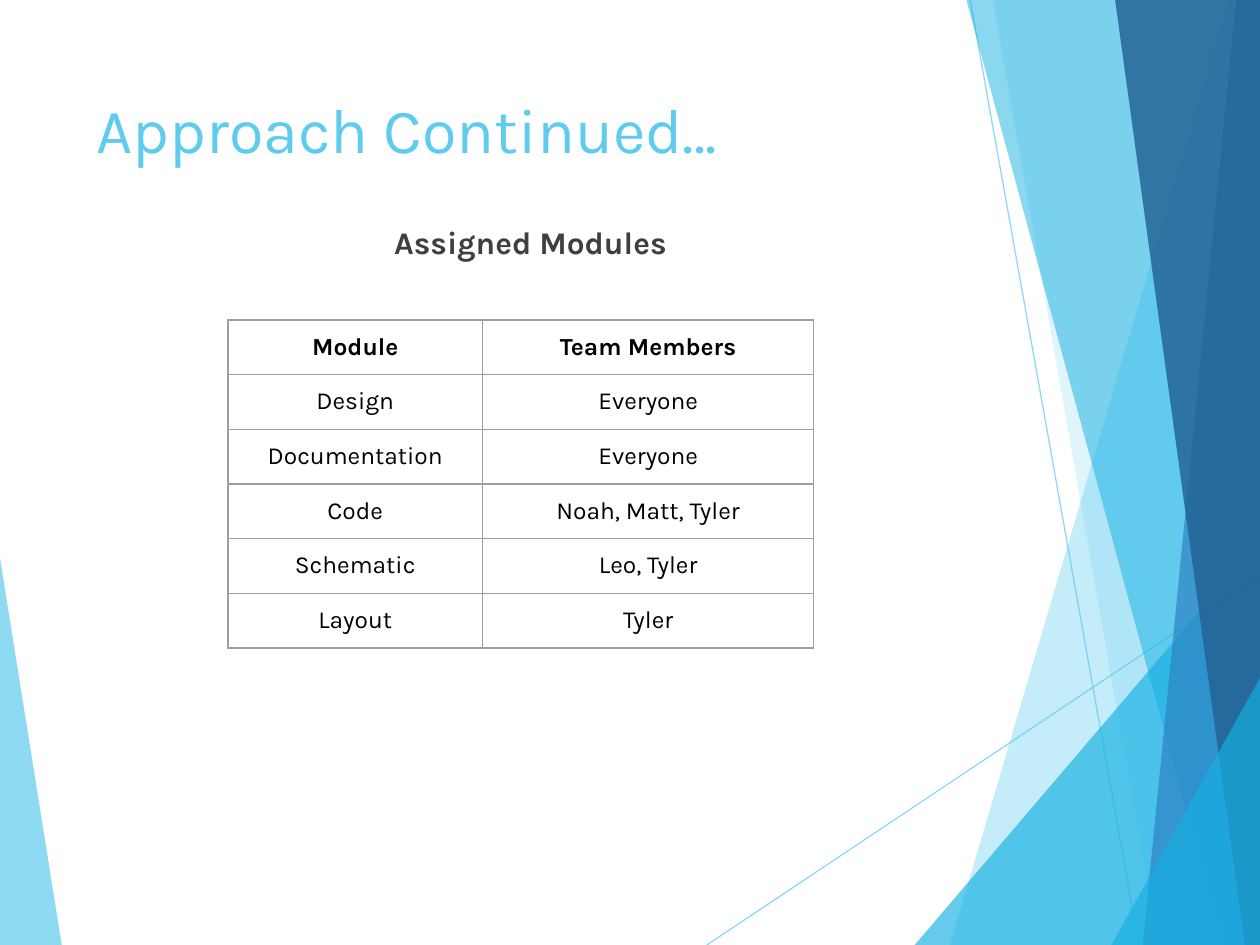
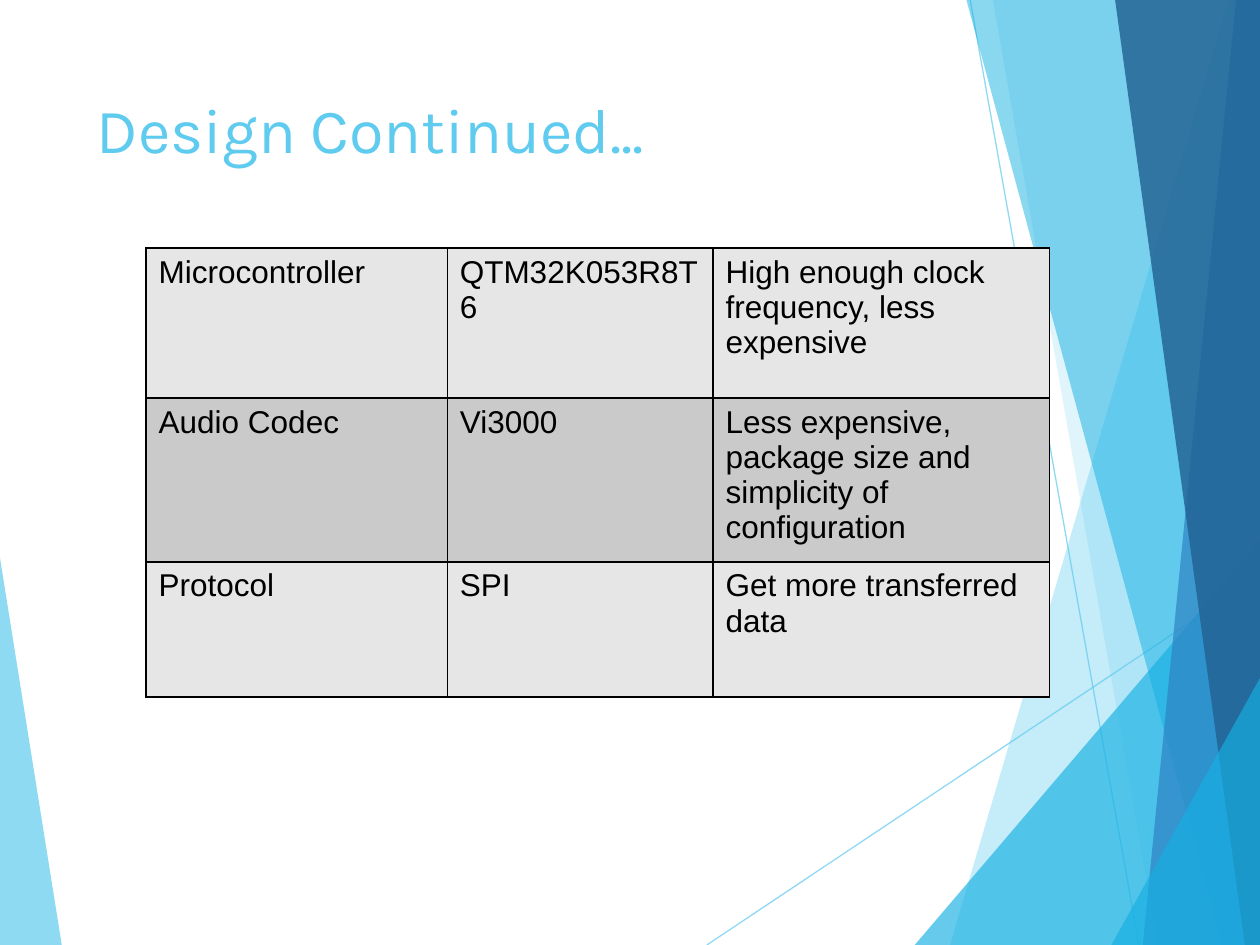
import pptx
import pptx.dml.color
import pptx.enum.shapes
import pptx.enum.text
import pptx.oxml
import pptx.oxml.ns
import pptx.util
import lxml.etree

PX = 9144
WIDTH, HEIGHT = 1000, 750
LEFT = pptx.enum.text.PP_ALIGN.LEFT
CENTER = pptx.enum.text.PP_ALIGN.CENTER


class Theme:
    sky = "5FCBEF"
    cyan = "16B0E3"
    blue = "2E83C3"
    navy = "226292"
    heading = "3F3F3F"
    black = "000000"
    rule = "9E9E9E"
    pale = "E6E6E6"
    grey = "CACACA"
    title = {"name": "Karla", "size": pptx.util.Pt(36), "bold": False}
    subtitle = {"name": "Karla", "size": pptx.util.Pt(18), "bold": True}
    module = {"name": "Karla", "size": pptx.util.Pt(14), "bold": False}
    component = {"name": "Arial", "size": pptx.util.Pt(18), "bold": False}


def write(holder, text, style, color, align, insets):
    sides = ("margin_left", "margin_top", "margin_right", "margin_bottom")
    for side, inset in zip(sides, insets):
        setattr(holder, side, inset * PX)
    frame = getattr(holder, "text_frame", holder)
    para = frame.paragraphs[0]
    para.alignment = align
    span = para.add_run()
    span.text = text
    for name, value in style.items():
        setattr(span.font, name, value)
    span.font.color.rgb = pptx.dml.color.RGBColor.from_string(color)
    return para


def fade(shape, percent):
    for color in shape._element.spPr.iter(pptx.oxml.ns.qn("a:srgbClr")):
        alpha = lxml.etree.SubElement(color, pptx.oxml.ns.qn("a:alpha"))
        alpha.set("val", str(percent * 1000))


rays = [((561, 750), (1000, 457)), ((770, 0), (904, 750))]

facets = [
    ([(0, 443), (49, 750), (0, 750)], Theme.sky, 70),
    ([(975, 0), (754, 750), (1000, 750), (1000, 0)], Theme.sky, 36),
    ([(788, 0), (919, 750), (1000, 750), (1000, 0)], Theme.sky, 20),
    ([(726, 750), (1000, 429), (1000, 750)], Theme.cyan, 66),
    ([(767, 0), (970, 750), (1000, 750), (1000, 0)], Theme.cyan, 50),
    ([(981, 0), (907, 750), (1000, 750), (1000, 0)], Theme.blue, 70),
    ([(885, 0), (988, 750), (1000, 750), (1000, 0)], Theme.navy, 82),
    ([(882, 750), (1000, 538), (1000, 750)], Theme.cyan, 66),
]

pages = [
    {
        "title": "Approach Continued...",
        "subtitle": "Assigned Modules",
        "origin": (181, 254),
        "columns": [202, 263],
        "heights": [42] * 6,
        "rows": [
            ("Module", "Team Members"),
            ("Design", "Everyone"),
            ("Documentation", "Everyone"),
            ("Code", "Noah, Matt, Tyler"),
            ("Schematic", "Leo, Tyler"),
            ("Layout", "Tyler"),
        ],
        "style": Theme.module,
        "header": True,
        "align": CENTER,
        "insets": (10, 10, 10, 10),
        "fills": [],
        "border": (Theme.rule, 0.75),
    },
    {
        "title": "Design Continued...",
        "subtitle": None,
        "origin": (116, 197),
        "columns": [239, 211, 267],
        "heights": [119, 107, 107],
        "rows": [
            ("Microcontroller", "QTM32K053R8T6", "High enough clock frequency, less expensive"),
            ("Audio Codec", "Vi3000", "Less expensive, package size and simplicity of configuration"),
            ("Protocol", "SPI", "Get more transferred data"),
        ],
        "style": Theme.component,
        "header": False,
        "align": LEFT,
        "insets": (10, 5, 10, 5),
        "fills": [Theme.pale, Theme.grey],
        "border": (Theme.black, 1),
    },
]

deck = pptx.Presentation()
deck.slide_width = WIDTH * PX
deck.slide_height = HEIGHT * PX

for content in pages:
    page = deck.slides.add_slide(deck.slide_layouts[6])

    for index, (points, color, opacity) in enumerate(facets):
        builder = page.shapes.build_freeform(*points[0], scale=PX)
        builder.add_line_segments(points[1:], close=True)
        facet = builder.convert_to_shape()
        facet.shadow.inherit = False
        facet.fill.solid()
        facet.fill.fore_color.rgb = pptx.dml.color.RGBColor.from_string(color)
        facet.line.fill.background()
        fade(facet, opacity)

        if index == 0:
            for start, end in rays:
                ray = page.shapes.add_connector(
                    pptx.enum.shapes.MSO_CONNECTOR.STRAIGHT,
                    *(value * PX for value in start + end),
                )
                ray.line.width = pptx.util.Pt(0.75)
                ray.line.color.rgb = pptx.dml.color.RGBColor.from_string(Theme.sky)
                fade(ray, 70)
                lxml.etree.SubElement(ray._element.spPr, pptx.oxml.ns.qn("a:effectLst"))

    labels = [(content["title"], (67, 67, 694, 144), Theme.title, Theme.sky, LEFT)]
    if content["subtitle"]:
        labels.append((content["subtitle"], (238, 172, 352, 52), Theme.subtitle, Theme.heading, CENTER))
    for text, place, style, color, align in labels:
        box = page.shapes.add_textbox(*(value * PX for value in place))
        box.text_frame.word_wrap = True
        para = write(box.text_frame, text, style, color, align, (10, 5, 10, 5))
        if align == CENTER:
            para._p.get_or_add_pPr().set("marL", str(14 * PX))

    columns, heights, rows = content["columns"], content["heights"], content["rows"]
    size = (sum(columns), sum(heights))
    table = page.shapes.add_table(
        len(rows), len(columns), *(value * PX for value in content["origin"] + size)
    ).table
    table.first_row = False
    table.horz_banding = False
    for column, width in zip(table.columns, columns):
        column.width = width * PX
    for row, height in zip(table.rows, heights):
        row.height = height * PX

    border_color, border_width = content["border"]
    for row_index, texts in enumerate(rows):
        bold = content["header"] and row_index == 0
        style = content["style"] | {"bold": bold}
        for column_index, text in enumerate(texts):
            cell = table.cell(row_index, column_index)
            write(cell, text, style, Theme.black, content["align"], content["insets"])
            if content["fills"]:
                fill = content["fills"][row_index % len(content["fills"])]
                cell.fill.solid()
                cell.fill.fore_color.rgb = pptx.dml.color.RGBColor.from_string(fill)
            else:
                cell.fill.background()
            for position, side in enumerate(("lnL", "lnR", "lnT", "lnB")):
                edge = pptx.oxml.parse_xml(
                    f'<a:{side} {pptx.oxml.ns.nsdecls("a")} w="{pptx.util.Pt(border_width)}">'
                    f'<a:solidFill><a:srgbClr val="{border_color}"/></a:solidFill></a:{side}>'
                )
                cell._tc.get_or_add_tcPr().insert(position, edge)

deck.save("out.pptx")
